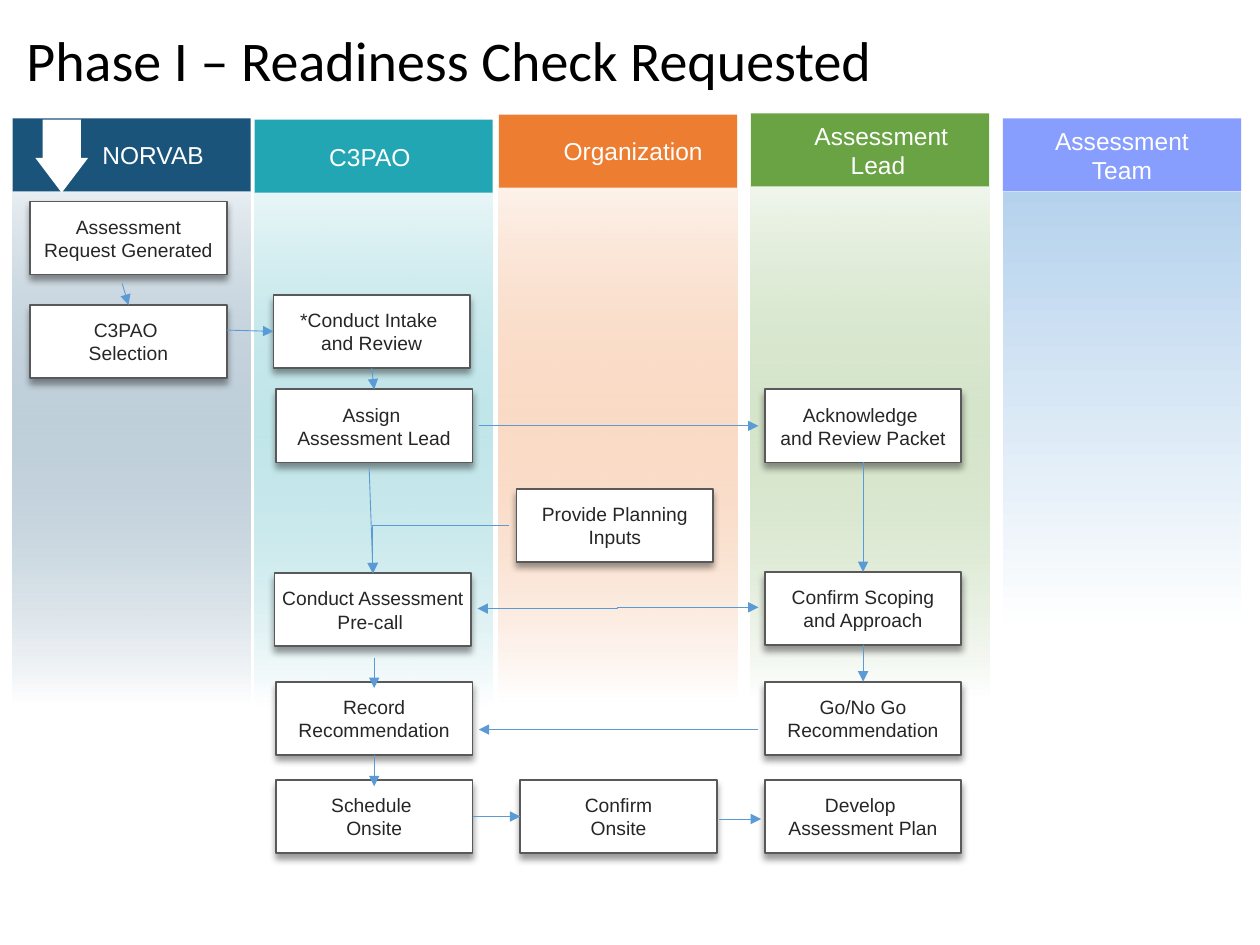
from pptx import Presentation
from pptx.dml.color import RGBColor
from pptx.enum.shapes import MSO_CONNECTOR as Link, MSO_SHAPE as Shape
from pptx.enum.text import MSO_ANCHOR as Anchor, MSO_AUTO_SIZE as AutoSize, PP_ALIGN as Align
from pptx.oxml.ns import qn
from pptx.oxml.xmlchemy import OxmlElement
from pptx.util import Inches, Pt

WHITE = RGBColor(0xFF, 0xFF, 0xFF)
BLACK = RGBColor(0, 0, 0)
NAVY = RGBColor(0x1B, 0x54, 0x7B)
TEAL = RGBColor(0x22, 0xA6, 0xB4)
ORANGE = RGBColor(0xED, 0x7D, 0x31)
GREEN = RGBColor(0x6A, 0xA3, 0x43)
BLUE = RGBColor(0x04, 0x32, 0xFF)
PALE_BLUE = RGBColor(0xB5, 0xD2, 0xEC)
TEXT_GREY = RGBColor(0x26, 0x26, 0x26)
BORDER_GREY = RGBColor(0x59, 0x59, 0x59)
ARROW_BLUE = RGBColor(0x5B, 0x9B, 0xD5)

TITLE = "Phase I – Readiness Check Requested"
LANE_WIDTH, HEADER_HEIGHT = 1.89, 0.58
BOX_WIDTH, BOX_HEIGHT = 1.56, 0.58
TOP, LEFT, BOTTOM, RIGHT = range(4)

# label lines, left, top, text shift, header colour, header opacity,
# body colour, body opacity, start of the fade, body height
LANES = [
    (["NORVAB"], 0.1, 0.94, 0.17, NAVY, 100, NAVY, 10, 0, 4.08),
    (["C3PAO"], 2.02, 0.95, -0.03, TEAL, 100, TEAL, 10, 0, 4.08),
    (["Assessment", "Lead "], 5.96, 0.9, 0.09, GREEN, 100, GREEN, 10, 0, 4.08),
    (["Organization"], 3.96, 0.91, 0.12, ORANGE, 100, ORANGE, 10, 0, 4.08),
    (["Assessment", "Team"], 7.96, 0.94, 0, BLUE, 47, PALE_BLUE, 100, 0.16, 4.18),
]

# name: left, top, lines
STEPS = {
    "request": (0.24, 1.6, ["Assessment", "Request Generated"]),
    "selection": (0.24, 2.42, ["C3PAO ", "Selection"]),
    "intake": (2.17, 2.34, ["*Conduct Intake ", "and Review"]),
    "assign": (2.19, 3.09, ["Assign ", "Assessment Lead"]),
    "precall": (2.18, 4.55, ["Conduct Assessment", "Pre-call "]),
    "record": (2.19, 5.41, ["Record Recommendation"]),
    "schedule": (2.19, 6.19, ["Schedule ", "Onsite"]),
    "inputs": (4.1, 3.88, ["Provide Planning", "Inputs"]),
    "confirm": (4.13, 6.19, ["Confirm", "Onsite"]),
    "packet": (6.07, 3.09, ["Acknowledge ", "and Review Packet"]),
    "scoping": (6.07, 4.54, ["Confirm Scoping", "and Approach"]),
    "go": (6.07, 5.41, ["Go/No Go", "Recommendation"]),
    "plan": (6.07, 6.19, ["Develop ", "Assessment Plan"]),
}

# Each end is a point, or a step name with the side it is joined to.
STRAIGHT_ARROWS = [
    ((0.97, 2.25), ("selection", TOP)),
    ((1.8, 2.62), ("intake", LEFT)),
    (("intake", BOTTOM), ("assign", TOP)),
    ((2.93, 3.72), ("precall", TOP)),
    ((3.8, 3.38), (6.02, 3.38)),
    (("packet", BOTTOM), ("scoping", TOP)),
    (("scoping", BOTTOM), ("go", TOP)),
    ((2.97, 5.22), (2.97, 5.46)),
    (("record", BOTTOM), (2.97, 6.24)),
    (("schedule", RIGHT), ("confirm", LEFT)),
    ((5.71, 6.5), (6.04, 6.5)),
]

# start, end, geometry, arrowheads
BENT_ARROWS = [
    ((4.04, 4.17), (2.96, 4.55), "bentConnector2", ["tailEnd"]),
    ((6.02, 4.82), (3.79, 4.83), "bentConnector3", ["headEnd", "tailEnd"]),
    ((6.02, 5.79), (3.8, 5.79), "bentConnector3", ["tailEnd"]),
]


def add_child(parent, tag, **attributes):
    child = OxmlElement(tag)
    for name, value in attributes.items():
        child.set(name, str(value))
    parent.append(child)
    return child


def set_opacity(shape, percent):
    """Apply opacity to the last colour of the shape's fill."""
    if percent < 100:
        colour = list(shape._element.spPr.iter(qn("a:srgbClr")))[-1]
        add_child(colour, "a:alpha", val=percent * 1000)


def add_block(page, kind, left, top, width, height):
    block = page.shapes.add_shape(kind, *map(Inches, (left, top, width, height)))
    block.shadow.inherit = False
    block.line.fill.background()
    return block


def write(shape, lines, size, colour):
    frame = shape.text_frame
    frame.word_wrap = True
    frame.vertical_anchor = Anchor.MIDDLE
    for index, line in enumerate(lines):
        para = frame.paragraphs[0] if index == 0 else frame.add_paragraph()
        para.alignment = Align.CENTER
        span = para.add_run()
        span.text = line
        span.font.name, span.font.size = "Arial", Pt(size)
        span.font.color.rgb = colour


def add_lane(page, lines, left, top, shift, colour, opacity, tint, tint_opacity, fade, height):
    header = add_block(page, Shape.RECTANGLE, left, top, LANE_WIDTH, HEADER_HEIGHT)
    header.fill.solid()
    header.fill.fore_color.rgb = colour
    set_opacity(header, opacity)
    header.text_frame.margin_left = Inches(max(2 * shift, 0))
    header.text_frame.margin_right = Inches(max(-2 * shift, 0))
    write(header, lines, 14, WHITE)

    body = add_block(page, Shape.RECTANGLE, left, top + HEADER_HEIGHT, LANE_WIDTH, height)
    body.fill.gradient()
    body.fill.gradient_angle = 90
    bottom_stop, top_stop = body.fill.gradient_stops
    bottom_stop.color.rgb, bottom_stop.position = WHITE, fade
    top_stop.color.rgb, top_stop.position = tint, 1
    set_opacity(body, tint_opacity)


def add_step(page, left, top, lines):
    box = add_block(page, Shape.RECTANGLE, left, top, BOX_WIDTH, BOX_HEIGHT)
    box.fill.solid()
    box.fill.fore_color.rgb = WHITE
    box.line.color.rgb, box.line.width = BORDER_GREY, Pt(1)
    effects = box._element.spPr.find(qn("a:effectLst"))
    shadow = add_child(effects, "a:outerShdw", blurRad=Pt(4), dist=Pt(3),
                       dir=5400000, algn="t", rotWithShape=0)
    add_child(add_child(shadow, "a:srgbClr", val="000000"), "a:alpha", val=40000)
    box.text_frame.margin_left = box.text_frame.margin_right = Inches(0.04)
    write(box, lines, 11, TEXT_GREY)
    return box


def add_arrow(page, kind, start, end, heads):
    arrow = page.shapes.add_connector(kind, *map(Inches, start + end))
    arrow.line.color.rgb, arrow.line.width = ARROW_BLUE, Pt(0.5)
    for head in heads:
        add_child(arrow.line._get_or_add_ln(), f"a:{head}", type="triangle")
    add_child(arrow._element.spPr, "a:effectLst")
    return arrow


def add_straight_arrow(page, boxes, start, end):
    joined = [isinstance(place[0], str) for place in (start, end)]
    points = [(0, 0) if join else place for join, place in zip(joined, (start, end))]
    arrow = add_arrow(page, Link.STRAIGHT, *points, ["tailEnd"])
    if joined[0]:
        arrow.begin_connect(boxes[start[0]], start[1])
    if joined[1]:
        arrow.end_connect(boxes[end[0]], end[1])


def add_title(page):
    title = page.shapes.title
    title.left, title.top, title.width, title.height = map(Inches, (0.11, 0.14, 9.89, 0.72))
    frame = title.text_frame
    frame.auto_size = AutoSize.NONE
    frame.vertical_anchor = Anchor.MIDDLE
    para = frame.paragraphs[0]
    para.alignment, para.line_spacing = Align.LEFT, 0.9
    span = para.add_run()
    span.text = TITLE
    span.font.name, span.font.size = "Calibri", Pt(32)
    span.font.color.rgb = BLACK


def main():
    deck = Presentation()
    deck.slide_width, deck.slide_height = Inches(10), Inches(7.5)
    page = deck.slides.add_slide(deck.slide_layouts[5])
    add_title(page)
    for lane in LANES:
        add_lane(page, *lane)
    entry = add_block(page, Shape.DOWN_ARROW, 0.28, 0.95, 0.42, 0.58)
    entry.adjustments[0], entry.adjustments[1] = 0.72, 0.66
    entry.fill.solid()
    entry.fill.fore_color.rgb = WHITE
    boxes = {name: add_step(page, *step) for name, step in STEPS.items()}
    for start, end in STRAIGHT_ARROWS:
        add_straight_arrow(page, boxes, start, end)
    for start, end, geometry, heads in BENT_ARROWS:
        arrow = add_arrow(page, Link.ELBOW, start, end, heads)
        arrow._element.spPr.find(qn("a:prstGeom")).set("prst", geometry)
    deck.save("out.pptx")


if __name__ == "__main__":
    main()
